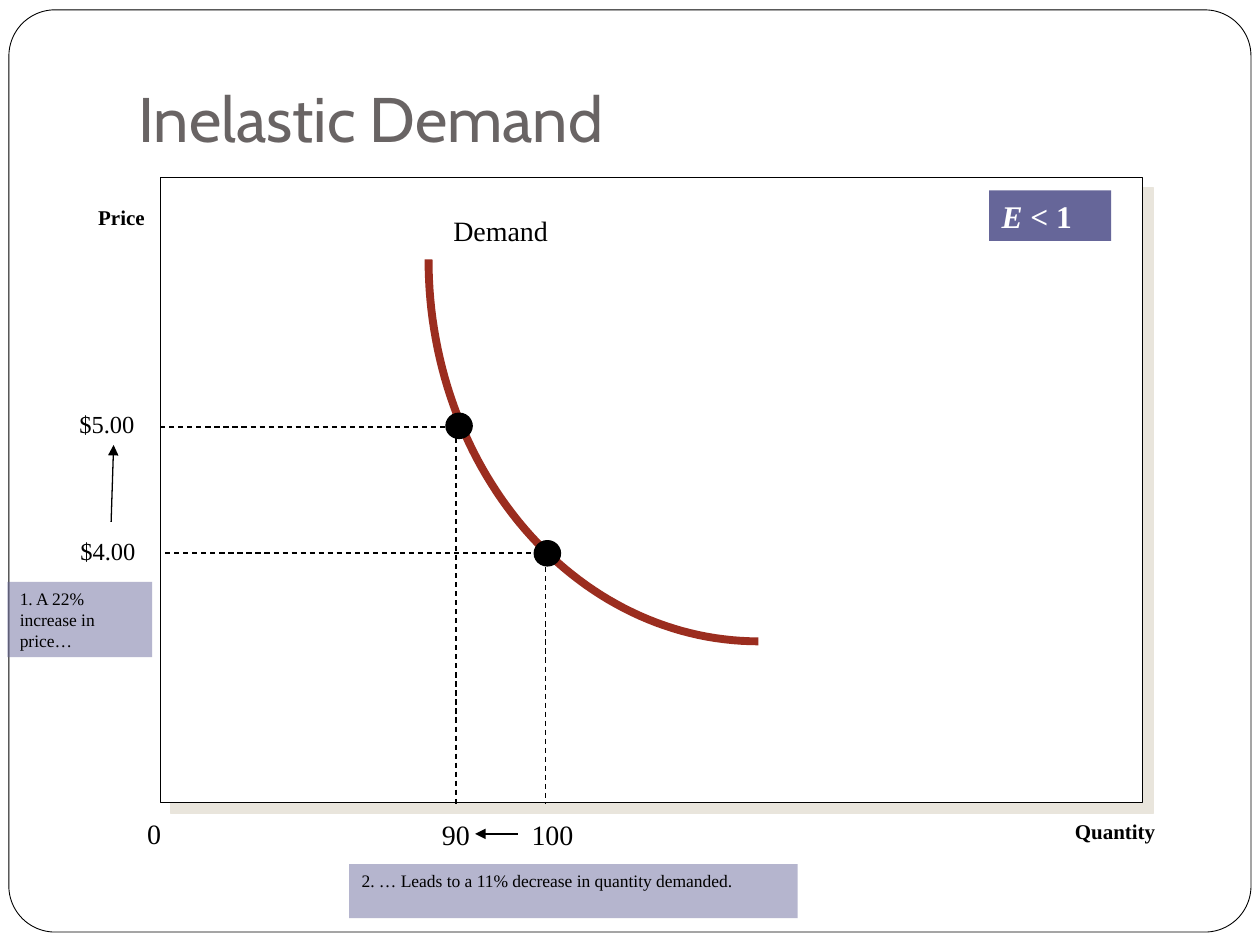
from math import cos, pi, sin

from lxml import etree
from pptx import Presentation
from pptx.dml.color import RGBColor
from pptx.enum.dml import MSO_LINE_DASH_STYLE as Dash
from pptx.enum.shapes import MSO_CONNECTOR as Connector, MSO_SHAPE as Shape
from pptx.enum.text import MSO_ANCHOR as Anchor, PP_ALIGN as Align
from pptx.oxml import parse_xml
from pptx.oxml.ns import nsdecls, qn
from pptx.util import Cm, Pt

BLACK = RGBColor(0x00, 0x00, 0x00)
WHITE = RGBColor(0xFF, 0xFF, 0xFF)
PURPLE = RGBColor(0x66, 0x66, 0x99)
RUST = RGBColor(0x9B, 0x2D, 0x1F)
GRAY = RGBColor(0x69, 0x64, 0x64)

presentation = Presentation()
presentation.slide_width, presentation.slide_height = Cm(25.4), Cm(19.05)
slide = presentation.slides.add_slide(presentation.slide_layouts[6])
shapes = slide.shapes


def add_block(kind, box, fill=None, line_width=None, text="", size=10,
              color=BLACK, bold=False, align=Align.LEFT, font="Times New Roman"):
    """Add a preset shape, or a text box when kind is None."""
    lengths = [Cm(value) for value in box]
    if kind is None:
        shape = shapes.add_textbox(*lengths)
    else:
        shape = shapes.add_shape(kind, *lengths)
        shape.shadow.inherit = False
        shape.fill.solid()
        shape.fill.fore_color.rgb = fill
        if line_width is None:
            shape.line.fill.background()
        else:
            shape.line.color.rgb = BLACK
            shape.line.width = Pt(line_width)
    if text:
        frame = shape.text_frame
        frame.word_wrap = True
        frame.vertical_anchor = Anchor.TOP
        frame.text = text
        paragraph = frame.paragraphs[0]
        paragraph.alignment = align
        for run in paragraph.runs:
            run.font.name, run.font.size = font, Pt(size)
            run.font.bold, run.font.color.rgb = bold, color
    return shape


def add_line(start_x, start_y, end_x, end_y, arrow=False):
    """Add an arrow, or a dashed guide line."""
    line = shapes.add_connector(
        Connector.STRAIGHT, Cm(start_x), Cm(start_y), Cm(end_x), Cm(end_y))
    line.line.color.rgb = BLACK
    line.line.width = Pt(0.75)
    if arrow:
        outline = line.line._get_or_add_ln()
        etree.SubElement(outline, qn("a:tailEnd"), type="triangle")
    else:
        line.line.dash_style = Dash.DASH
    etree.SubElement(line._element.spPr, qn("a:effectLst"))


# Slide frame and plot area with its offset shadow
frame = add_block(Shape.ROUNDED_RECTANGLE, (0.18, 0.2, 25.04, 18.59), WHITE, 0.5)
frame.adjustments[0] = 0.05
plot = add_block(Shape.RECTANGLE, (3.23, 3.58, 19.81, 12.6), WHITE, 0.75)
properties = plot._element.spPr
properties.remove(properties.find(qn("a:effectLst")))
properties.append(parse_xml(
    f'<a:effectLst {nsdecls("a")}><a:outerShdw blurRad="0" dist="{Pt(8.5)}" '
    'dir="2700000" algn="ctr" rotWithShape="0"><a:srgbClr val="E9E5DC"/>'
    '</a:outerShdw></a:effectLst>'))

# Elasticity badge
badge = add_block(Shape.RECTANGLE, (19.94, 3.84, 2.46, 1.02), PURPLE,
                  text="E ", size=18, color=WHITE, bold=True)
badge_paragraph = badge.text_frame.paragraphs[0]
badge_paragraph.runs[0].font.italic = True
condition = badge_paragraph.add_run()
condition.text = "< 1"
condition.font.name, condition.font.size = "Times New Roman", Pt(18)
condition.font.bold, condition.font.color.rgb = True, WHITE

# Axis and curve labels
for text, box, size, bold, align in [
    ("0", (1.8, 16.33, 1.7, 0.94), 16, False, Align.RIGHT),
    ("90", (8.2, 16.36, 1.52, 0.94), 16, False, Align.RIGHT),
    ("100", (10.29, 16.36, 1.52, 0.94), 16, False, Align.RIGHT),
    ("Quantity", (20.8, 16.38, 2.74, 0.76), 12, True, Align.RIGHT),
    ("Price", (1.42, 3.99, 1.75, 0.76), 12, True, Align.RIGHT),
    ("$5.00", (1.35, 8.13, 1.75, 0.84), 14, False, Align.LEFT),
    ("$4.00", (1.37, 10.69, 1.75, 0.84), 14, False, Align.LEFT),
    ("Demand", (8.89, 4.19, 5.13, 0.94), 16, False, Align.LEFT),
]:
    add_block(None, box, text=text, size=size, bold=bold, align=align)

# Translucent notes
for text, box in [
    ("1. A 22% increase in price…", (0.15, 11.73, 2.92, 1.52)),
    ("2. … Leads to a 11% decrease in quantity demanded.", (7.04, 17.42, 9.04, 1.09)),
]:
    note = add_block(Shape.RECTANGLE, box, PURPLE, text=text)
    note_color = note._element.spPr.find(qn("a:solidFill"))[0]
    etree.SubElement(note_color, qn("a:alpha"), val="48000")

# Demand curve: a quarter of an ellipse
center_x, center_y, radius_x, radius_y = 15.29, 5.23, 6.65, 7.7
steps = 60
angles = [pi / 2 * (1 + step / steps) for step in range(steps + 1)]
points = [(Cm(center_x + radius_x * cos(angle)), Cm(center_y + radius_y * sin(angle)))
          for angle in angles]
builder = shapes.build_freeform(*points[0])
builder.add_line_segments(points[1:], close=False)
curve = builder.convert_to_shape()
curve.shadow.inherit = False
curve.fill.background()
curve.line.color.rgb = RUST
curve.line.width = Pt(4.5)

# Guide lines and points at the two prices
for left, price_y, right, quantity_x, top, dot_x, dot_y in [
    (3.33, 11.15, 11.0, 11.0, 11.07, 10.77, 10.9),
    (3.23, 8.61, 9.37, 9.19, 8.64, 8.99, 8.33),
]:
    add_line(left, price_y, right, price_y)
    add_line(quantity_x, top, quantity_x, 16.21)
    add_block(Shape.OVAL, (dot_x, dot_y, 0.53, 0.51), BLACK, 0.75)

# Arrows for the price rise and the quantity fall
add_line(2.24, 10.52, 2.29, 8.97, arrow=True)
add_line(10.44, 16.81, 9.58, 16.81, arrow=True)

# Title
title = add_block(None, (2.54, 0.76, 21.59, 2.62), text="Inelastic Demand",
                  size=36, color=GRAY, font="Cabin")
title.text_frame.vertical_anchor = Anchor.BOTTOM
title.text_frame.margin_bottom = Cm(0.25)

presentation.save("out.pptx")
